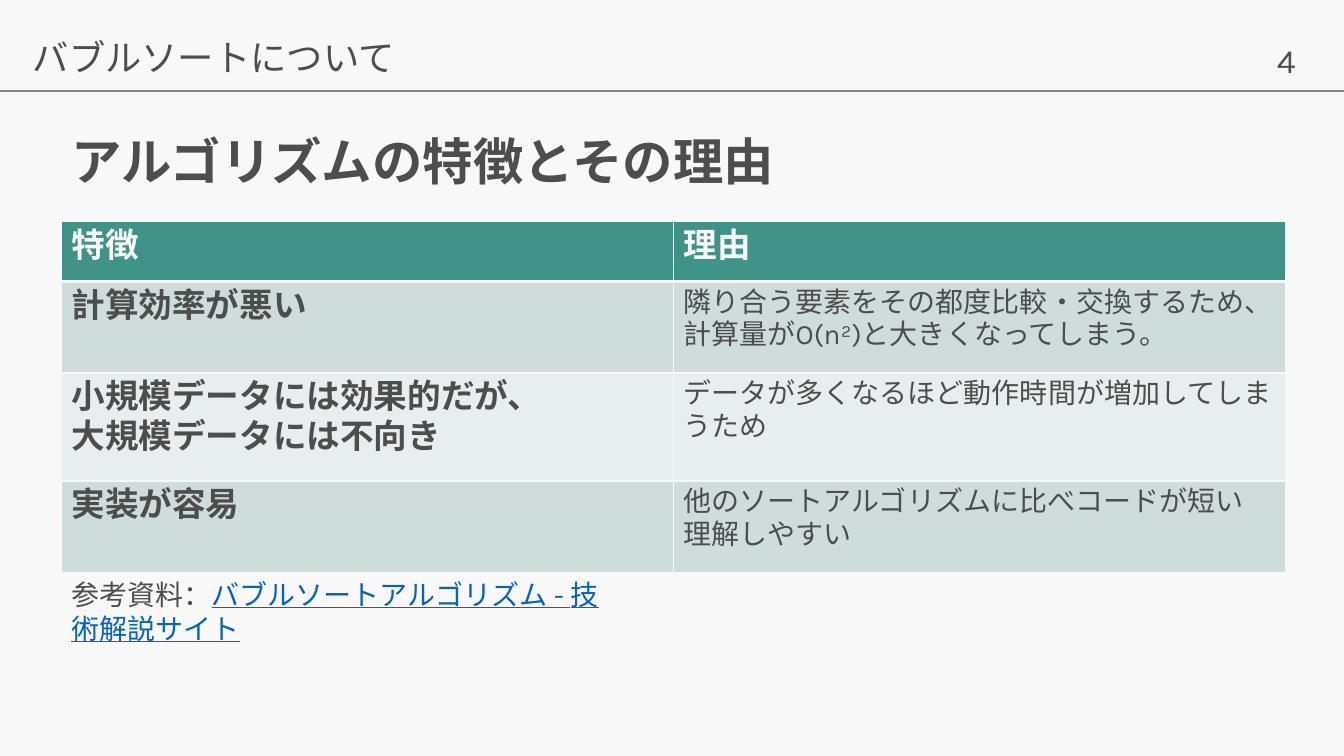
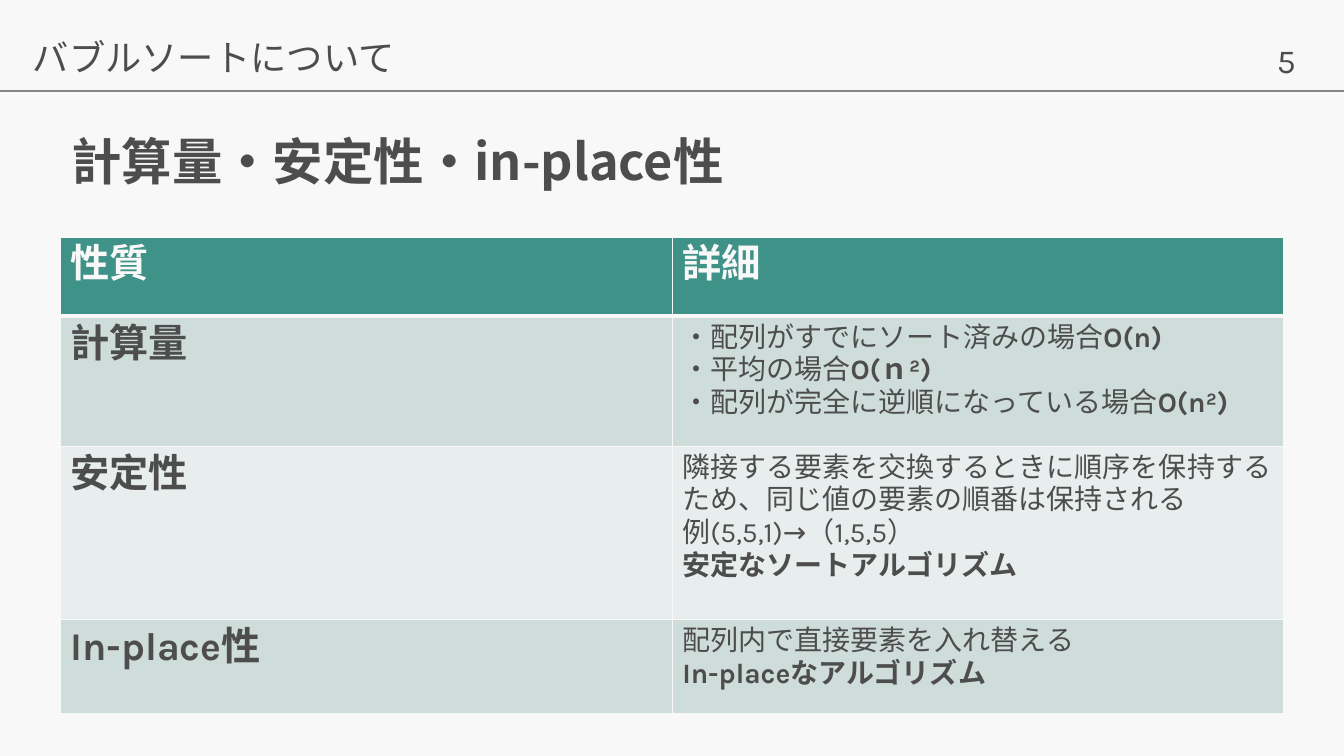
from lxml import etree
from pptx import Presentation
from pptx.dml.color import RGBColor
from pptx.enum import shapes, text
from pptx.oxml import ns
from pptx.util import Cm, Pt

COLORS = {
    "paper": "F8F8F8",
    "ink": "4D4D4D",
    "rule": "858585",
    "header": "3E9288",
    "odd": "CEDCDA",
    "even": "E8EEED",
    "link": "0563C1",
}
HEADING_FONT = "Noto Sans CJK JP"
BODY_FONT = "Karla"
SLIDE_WIDTH, SLIDE_HEIGHT = 33.87, 19.05
SECTION = "バブルソートについて"
BOLD = {"bold": True}

FEATURES = {
    "number": 4,
    "title": "アルゴリズムの特徴とその理由",
    "box": (1.55, 5.59, 30.84),
    "heights": (1.5, 2.31, 2.72, 2.31),
    "label_size": 24,
    "rows": [
        (["特徴"], ["理由"]),
        (["計算効率が悪い"],
         ["隣り合う要素をその都度比較・交換するため、", "計算量がO(n²)と大きくなってしまう。"]),
        (["小規模データには効果的だが、", "大規模データには不向き"],
         ["データが多くなるほど動作時間が増加してしまうため"]),
        (["実装が容易"],
         ["他のソートアルゴリズムに比べコードが短い", "理解しやすい"]),
    ],
}
PROPERTIES = {
    "number": 5,
    "title": "計算量・安定性・in-place性",
    "box": (1.52, 5.97, 30.84),
    "heights": (2.0, 3.28, 4.37, 2.36),
    "label_size": 28,
    "rows": [
        (["性質"], ["詳細"]),
        (["計算量"],
         [[("・配列がすでにソート済みの場合", {}), ("O(n)", BOLD)],
          [("・平均の場合", {}), ("O(ｎ²)", BOLD)],
          [("・配列が完全に逆順になっている場合", {}), ("O(n²)", BOLD)]]),
        (["安定性"],
         ["隣接する要素を交換するときに順序を保持するため、同じ値の要素の順番は保持される",
          "例(5,5,1)→（1,5,5）",
          [("安定なソートアルゴリズム", BOLD)]]),
        (["In-place性"],
         ["配列内で直接要素を入れ替える", [("In-placeなアルゴリズム", BOLD)]]),
    ],
}


def rgb(name):
    """Return the named palette colour."""
    return RGBColor.from_string(COLORS[name])


def style_run(run, size=20, font=BODY_FONT, color="ink", bold=False, underline=False):
    """Format one run, using the same font for Latin and Japanese."""
    run.font.size = Pt(size)
    run.font.bold = bold
    run.font.underline = underline
    run.font.color.rgb = rgb(color)
    run.font.name = font
    etree.SubElement(run.font._element, ns.qn("a:ea"), typeface=font)


def write(frame, paragraphs, spacing=None, **style):
    """Fill a text frame with paragraphs given as strings or lists of runs."""
    for index, content in enumerate(paragraphs):
        paragraph = frame.add_paragraph() if index else frame.paragraphs[0]
        if spacing:
            paragraph.line_spacing = spacing
        runs = [(content, {})] if isinstance(content, str) else content
        for words, changes in runs:
            run = paragraph.add_run()
            run.text = words
            style_run(run, **{**style, **changes})


def add_text(slide, box, paragraphs, wrap=True, anchor=text.MSO_ANCHOR.TOP, **style):
    """Place formatted text in a box given in centimetres."""
    frame = slide.shapes.add_textbox(*map(Cm, box)).text_frame
    frame.word_wrap = wrap
    frame.vertical_anchor = anchor
    write(frame, paragraphs, **style)


def add_frame(slide, number, title):
    """Add the background, section band, page number and title."""
    slide.background.fill.solid()
    slide.background.fill.fore_color.rgb = rgb("paper")
    add_text(slide, (31.93, 0.89, 1.55, 1.27), [str(number)], wrap=False, size=24)
    rule = slide.shapes.add_connector(
        shapes.MSO_CONNECTOR.STRAIGHT, 0, Cm(2.29), Cm(SLIDE_WIDTH), Cm(2.29))
    rule.line.color.rgb = rgb("rule")
    rule.line.width = Pt(1)
    etree.SubElement(rule._element.spPr, ns.qn("a:effectLst"))
    add_text(slide, (0.58, 0.97, 31.83, 1.3), [SECTION],
             size=25.9, font=HEADING_FONT, spacing=0.8)
    add_text(slide, (1.55, 2.82, 30.84, 2.62), [title], anchor=text.MSO_ANCHOR.MIDDLE,
             size=36, font=HEADING_FONT, bold=True, spacing=0.9)


def add_borders(cell, **widths):
    """Draw paper-coloured cell borders of the given widths in points."""
    properties = cell._tc.get_or_add_tcPr()
    for side, width in widths.items():
        line = etree.SubElement(properties, ns.qn(f"a:ln{side}"), w=str(Pt(width)))
        fill = etree.SubElement(line, ns.qn("a:solidFill"))
        etree.SubElement(fill, ns.qn("a:srgbClr"), val=COLORS["paper"])


def add_comparison(slide, box, heights, label_size, rows):
    """Add a two-column table with a header row and banded body rows."""
    left, top, width = map(Cm, box)
    table = slide.shapes.add_table(
        len(rows), 2, left, top, width, Cm(sum(heights))).table
    for column in table.columns:
        column.width = width // 2
    for r, (height, row) in enumerate(zip(heights, rows)):
        table.rows[r].height = Cm(height)
        band = "header" if r == 0 else "odd" if r % 2 else "even"
        for c, paragraphs in enumerate(row):
            cell = table.cell(r, c)
            add_borders(cell, L=1, R=1, T=3 if r == 1 else 1, B=1 if r else 3)
            cell.fill.solid()
            cell.fill.fore_color.rgb = rgb(band)
            is_label = r == 0 or c == 0
            write(cell.text_frame, paragraphs, size=label_size if is_label else 20,
                  bold=is_label, color="ink" if r else "paper")


def add_table_slide(deck, number, title, **comparison):
    """Add a framed slide that holds one comparison table."""
    slide = deck.slides.add_slide(deck.slide_layouts[6])
    add_frame(slide, number, title)
    add_comparison(slide, **comparison)
    return slide


def main():
    """Build and save the deck."""
    deck = Presentation()
    deck.slide_width, deck.slide_height = Cm(SLIDE_WIDTH), Cm(SLIDE_HEIGHT)
    features = add_table_slide(deck, **FEATURES)
    source = ("バブルソートアルゴリズム - 技術解説サイト", {"color": "link", "underline": True})
    add_text(features, (1.55, 14.43, 14, 2), [[("参考資料：", {}), source]])
    add_table_slide(deck, **PROPERTIES)
    deck.save("out.pptx")


if __name__ == "__main__":
    main()
